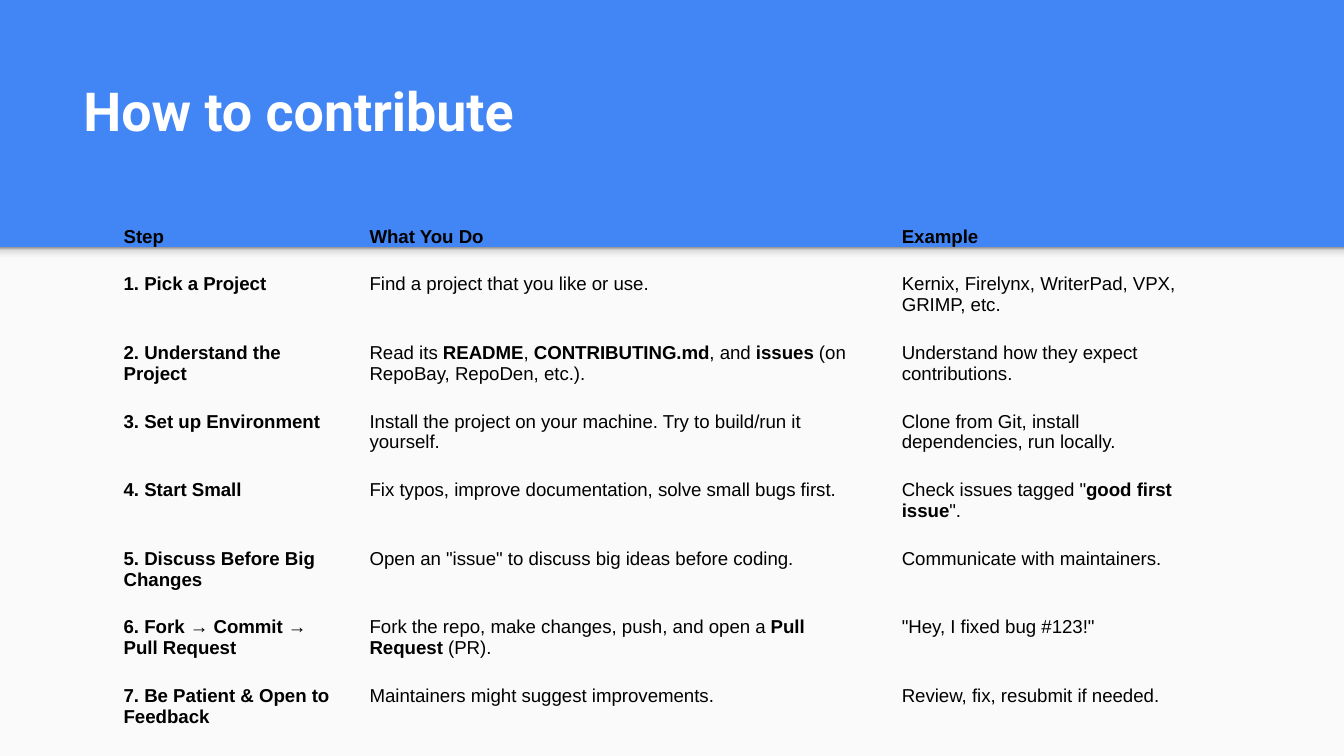
import pptx
import pptx.dml.color
import pptx.enum.shapes
import pptx.enum.text
import pptx.oxml
import pptx.oxml.ns
import pptx.util

Inches = pptx.util.Inches

TITLE = "How to contribute"
HEADER = ("Step", "What You Do", "Example")
STEPS = [
    ("1. Pick a Project", "Find a project that you like or use.",
     "Kernix, Firelynx, WriterPad, VPX, GRIMP, etc."),
    ("2. Understand the Project",
     "Read its **README**, **CONTRIBUTING.md**, and **issues** (on RepoBay, RepoDen, etc.).",
     "Understand how they expect contributions."),
    ("3. Set up Environment",
     "Install the project on your machine. Try to build/run it yourself.",
     "Clone from Git, install dependencies, run locally."),
    ("4. Start Small", "Fix typos, improve documentation, solve small bugs first.",
     'Check issues tagged "**good first issue**".'),
    ("5. Discuss Before Big Changes",
     'Open an "issue" to discuss big ideas before coding.',
     "Communicate with maintainers."),
    ("6. Fork → Commit → Pull Request",
     "Fork the repo, make changes, push, and open a **Pull Request** (PR).",
     '"Hey, I fixed bug #123!"'),
    ("7. Be Patient & Open to Feedback", "Maintainers might suggest improvements.",
     "Review, fix, resubmit if needed."),
]
COLUMN_WIDTHS = (1.83, 3.96, 2.35)
ROW_HEIGHTS = [0.32] + [0.51] * 5 + [0.45, 0.51]
SHADOW_STOPS = ((0, "F9F9F9"), (36, "F9F9F9"), (80, "DEDEDE"), (100, "999999"))
SLIDE_WIDTH = Inches(10)
SLIDE_HEIGHT = SLIDE_WIDTH * 9 // 16
PANEL_TOP = Inches(1.84)
PLAIN_TABLE_STYLE = "{2D5ABB26-0587-4C30-8999-92F81FD0307C}"


def color(value):
    return pptx.dml.color.RGBColor.from_string(value)


def set_values(target, values):
    for name, value in values.items():
        setattr(target, name, value)


def margins(bottom=0.1):
    sides = {"left": 0.1, "top": 0.1, "right": 0.1, "bottom": bottom}
    return {f"margin_{side}": Inches(size) for side, size in sides.items()}


def add_run(paragraph, text, font_name, size, font_color, bold):
    run = paragraph.add_run()
    run.text = text
    set_values(run.font, {"name": font_name, "size": pptx.util.Pt(size), "bold": bold})
    run.font.color.rgb = color(font_color)


def add_band(slide, height):
    shape = slide.shapes.add_shape(
        pptx.enum.shapes.MSO_SHAPE.RECTANGLE, 0, PANEL_TOP, SLIDE_WIDTH, height)
    shape.shadow.inherit = False
    shape.line.fill.background()
    return shape


def add_backdrop(slide):
    slide.background.fill.solid()
    slide.background.fill.fore_color.rgb = color("4285F4")
    panel = add_band(slide, SLIDE_HEIGHT - PANEL_TOP)
    panel.fill.solid()
    panel.fill.fore_color.rgb = color("FAFAFA")
    shadow = add_band(slide, Inches(0.12))
    stops = "".join(
        f'<a:gs pos="{position * 1000}"><a:srgbClr val="{value}"/></a:gs>'
        for position, value in SHADOW_STOPS)
    gradient = pptx.oxml.parse_xml(
        f'<a:gradFill {pptx.oxml.ns.nsdecls("a")}><a:gsLst>{stops}</a:gsLst>'
        '<a:lin ang="16200000" scaled="0"/></a:gradFill>')
    shadow.element.spPr.find(pptx.oxml.ns.qn("a:prstGeom")).addnext(gradient)


def add_title(slide):
    title = slide.shapes.title
    set_values(title, {"left": Inches(0.52), "top": Inches(0.81),
                       "width": Inches(8.99), "height": Inches(0.84)})
    set_values(title.text_frame, {
        "word_wrap": True,
        "auto_size": pptx.enum.text.MSO_AUTO_SIZE.NONE,
        "vertical_anchor": pptx.enum.text.MSO_ANCHOR.BOTTOM,
        **margins(bottom=0.59)})
    paragraph = title.text_frame.paragraphs[0]
    paragraph.alignment = pptx.enum.text.PP_ALIGN.LEFT
    add_run(paragraph, TITLE, "Roboto", 28.8, "FFFFFF", True)


def add_steps_table(slide):
    rows = [HEADER, *STEPS]
    frame = slide.shapes.add_table(
        len(rows), len(HEADER), Inches(0.82), Inches(1.56),
        Inches(sum(COLUMN_WIDTHS)), Inches(sum(ROW_HEIGHTS)))
    table = frame.table
    set_values(table, {"first_row": False, "horz_banding": False})
    style = frame.element.find(".//" + pptx.oxml.ns.qn("a:tableStyleId"))
    style.text = PLAIN_TABLE_STYLE
    for column, width in zip(table.columns, COLUMN_WIDTHS):
        column.width = Inches(width)
    for row, height in zip(table.rows, ROW_HEIGHTS):
        row.height = Inches(height)
    for row_index, texts in enumerate(rows):
        for column_index, text in enumerate(texts):
            cell = table.cell(row_index, column_index)
            cell.fill.background()
            set_values(cell, margins())
            paragraph = cell.text_frame.paragraphs[0]
            paragraph.line_spacing = 1.15 if row_index == 0 else 1.0
            heading = row_index == 0 or column_index == 0
            for part_index, part in enumerate(text.split("**")):
                bold = heading or part_index % 2 == 1
                add_run(paragraph, part, "Arial", 10, "000000", bold)


def main():
    presentation = pptx.Presentation()
    set_values(presentation, {"slide_width": SLIDE_WIDTH, "slide_height": SLIDE_HEIGHT})
    slide = presentation.slides.add_slide(presentation.slide_layouts[5])
    add_backdrop(slide)
    add_title(slide)
    add_steps_table(slide)
    presentation.save("out.pptx")


if __name__ == "__main__":
    main()
